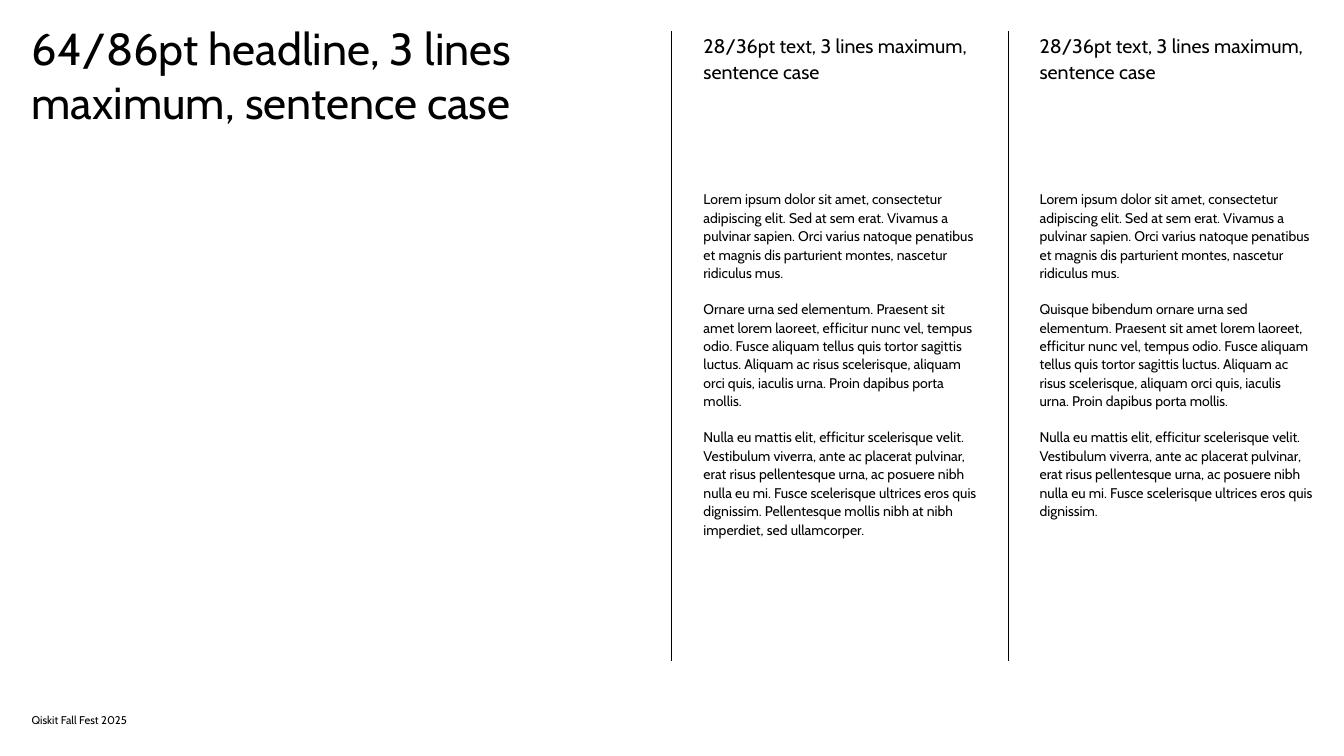
from lxml.etree import SubElement
from pptx import Presentation
from pptx.dml.color import RGBColor
from pptx.enum.shapes import MSO_CONNECTOR
from pptx.enum.text import MSO_ANCHOR, MSO_AUTO_SIZE, PP_ALIGN
from pptx.oxml.ns import qn
from pptx.util import Inches, Pt

COLORS = {"background": "FFFFFF", "text": "000000", "rule": "000000"}
FONT = "Cabin"
MARGIN = 0.63
COLUMN_LEFT, COLUMN_PITCH = 13.33, 6.67
COLUMN_TOP, COLUMN_HEIGHT = 0.62, 12.5
TEXT_WIDTH = 5.42

HEADLINE = "64/86pt headline, 3 lines maximum, sentence case"
COLUMN_HEADING = "28/36pt text, 3 lines maximum, sentence case"
FOOTER = "Qiskit Fall Fest 2025"
INTRODUCTION = (
    "Lorem ipsum dolor sit amet, consectetur adipiscing elit. Sed at sem erat. "
    "Vivamus a pulvinar sapien. Orci varius natoque penatibus et magnis dis "
    "parturient montes, nascetur ridiculus mus."
)
MIDDLE = (
    "rnare urna sed elementum. Praesent sit amet lorem laoreet, efficitur nunc vel, "
    "tempus odio. Fusce aliquam tellus quis tortor sagittis luctus. Aliquam ac risus "
    "scelerisque, aliquam orci quis, iaculis urna. Proin dapibus porta mollis."
)
CLOSING = (
    "Nulla eu mattis elit, efficitur scelerisque velit. Vestibulum viverra, ante ac "
    "placerat pulvinar, erat risus pellentesque urna, ac posuere nibh nulla eu mi. "
    "Fusce scelerisque ultrices eros quis dignissim."
)
COLUMNS = [
    [INTRODUCTION, "O" + MIDDLE,
     CLOSING + " Pellentesque mollis nibh at nibh imperdiet, sed ullamcorper."],
    [INTRODUCTION, "Quisque bibendum o" + MIDDLE, CLOSING],
]


def set_text(shape, box, paragraphs, size, line_spacing=1.0, gap=0,
             anchor=MSO_ANCHOR.TOP, right_inset=0):
    """Place a text shape in its box and fill it with plain paragraphs."""
    shape.left, shape.top, shape.width, shape.height = map(Inches, box)
    frame = shape.text_frame
    frame_format = {
        "word_wrap": True, "auto_size": MSO_AUTO_SIZE.NONE,
        "vertical_anchor": anchor, "margin_left": 0, "margin_top": 0,
        "margin_right": Inches(right_inset), "margin_bottom": 0,
    }
    for name, value in frame_format.items():
        setattr(frame, name, value)

    for index, text in enumerate(paragraphs):
        paragraph = frame.add_paragraph() if index else frame.paragraphs[0]
        properties = paragraph._p.get_or_add_pPr()
        properties.set("marL", "0")
        properties.set("indent", "0")
        SubElement(properties, qn("a:buNone"))
        paragraph_format = {
            "alignment": PP_ALIGN.LEFT, "line_spacing": line_spacing,
            "space_before": Pt(gap if index else 0), "space_after": Pt(0),
        }
        for name, value in paragraph_format.items():
            setattr(paragraph, name, value)
        run = paragraph.add_run()
        run.text = text
        for name, value in {"name": FONT, "size": Pt(size), "bold": False}.items():
            setattr(run.font, name, value)
        run.font.color.rgb = RGBColor.from_string(COLORS["text"])


def add_rule(slide, left, top, height):
    """Draw a thin vertical rule."""
    rule = slide.shapes.add_connector(
        MSO_CONNECTOR.STRAIGHT, Inches(left), Inches(top),
        Inches(left), Inches(top + height))
    rule.line.color.rgb = RGBColor.from_string(COLORS["rule"])
    rule.line.width = Pt(1)
    SubElement(rule._element.spPr, qn("a:effectLst"))


def add_column(slide, box, heading, body, paragraphs):
    """Fill one column: rule on the left, heading, then body text."""
    left, top, width, height = box
    text_left = left + MARGIN
    add_rule(slide, left, top, height)
    set_text(heading, (text_left, top, width, 1.67), [COLUMN_HEADING], 28,
             line_spacing=1.1)
    set_text(body, (text_left, top + 3.13, width, height - 3.13), paragraphs, 20,
             line_spacing=1.1, gap=25)


def add_footer(slide, box):
    """Add the event name at the bottom of the slide."""
    footer = slide.shapes.add_textbox(*map(Inches, box))
    set_text(footer, box, [FOOTER], 16, anchor=MSO_ANCHOR.BOTTOM)


def main():
    presentation = Presentation()
    presentation.slide_width = Inches(26.67)
    presentation.slide_height = Inches(15)
    comparison_layout = presentation.slide_layouts[4]
    slide = presentation.slides.add_slide(comparison_layout)
    slide.background.fill.solid()
    slide.background.fill.fore_color.rgb = RGBColor.from_string(COLORS["background"])

    # Headline
    title, *bodies = slide.placeholders
    set_text(title, (MARGIN, 0.42, 12.07, 5), [HEADLINE], 64, right_inset=0.5)

    # Text columns, each with a heading and a body placeholder
    for index, paragraphs in enumerate(COLUMNS):
        heading, body = bodies[2 * index:2 * index + 2]
        box = (COLUMN_LEFT + index * COLUMN_PITCH, COLUMN_TOP,
               TEXT_WIDTH, COLUMN_HEIGHT)
        add_column(slide, box, heading, body, paragraphs)

    # Footer
    add_footer(slide, (MARGIN, 14, TEXT_WIDTH, 0.42))
    presentation.save("out.pptx")


if __name__ == "__main__":
    main()
